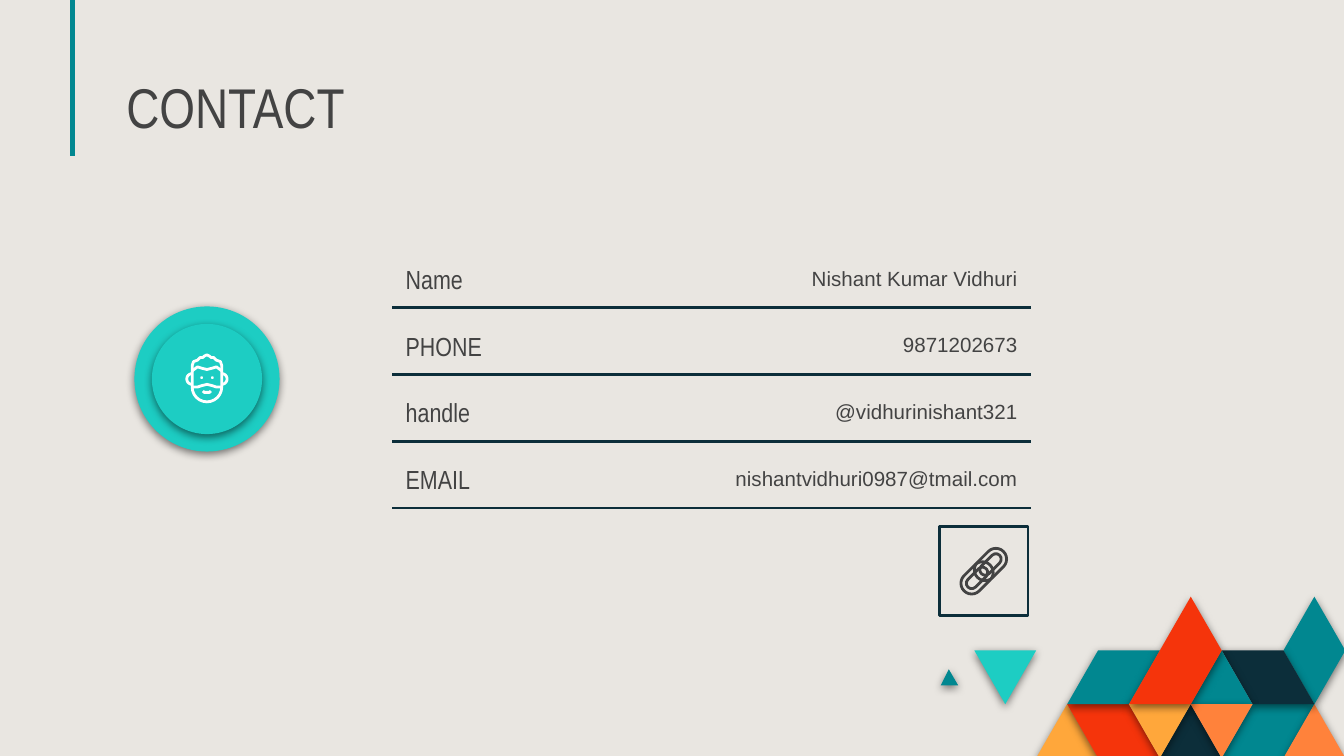
from collections.abc import Sequence
from dataclasses import dataclass
from math import cos, hypot, radians, sin
from typing import NamedTuple

from lxml.etree import SubElement
from pptx import Presentation
from pptx.dml.color import RGBColor
from pptx.enum.shapes import MSO_CONNECTOR, MSO_SHAPE
from pptx.enum.text import MSO_ANCHOR, MSO_AUTO_SIZE, PP_ALIGN
from pptx.oxml.ns import qn
from pptx.shapes.autoshape import Shape
from pptx.slide import Slide
from pptx.text.text import TextFrame
from pptx.util import Inches, Pt


@dataclass(frozen=True)
class Theme:
    paper: str = "E9E6E1"
    ink: str = "434343"
    navy: str = "0C2E3A"
    teal: str = "018790"
    aqua: str = "1DCDC3"
    red: str = "F5340B"
    amber: str = "FFA73B"
    orange: str = "FF823B"
    white: str = "FFFFFF"
    heading_font: str = "Arial Narrow"
    body_font: str = "Arial"
    title_size: float = 30
    label_size: float = 14
    value_size: float = 11
    accent_width: float = 2.25
    line_width: float = 1.5


THEME = Theme()
Point = tuple[float, float]


class ContactRow(NamedTuple):
    label: str
    value: str
    value_width: float = 2.56


class Tile(NamedTuple):
    """A mosaic piece; corners are (column, row) on the triangle lattice."""
    color: str
    corners: list[Point]


class Link(NamedTuple):
    upper: Point
    lower: Point


CONTACTS = [
    ContactRow("Name", "Nishant Kumar Vidhuri"),
    ContactRow("PHONE", "9871202673"),
    ContactRow("handle", "@vidhurinishant321"),
    ContactRow("EMAIL", "nishantvidhuri0987@tmail.com", 2.9),
]
TABLE_LEFT, TABLE_RIGHT, TABLE_TOP = 2.92, 7.67, 1.86
ROW_PITCH = (3.35 - TABLE_TOP) / 3

LATTICE_LEFT, LATTICE_TOP, HALF_SIDE, TILE_HEIGHT = 7.25, 4.44, 0.23, 0.4
TILES = [
    Tile(THEME.amber, [(2, 3), (3, 2), (4, 3)]),
    Tile(THEME.red, [(3, 2), (5, 2), (6, 3), (4, 3)]),
    Tile(THEME.teal, [(8, 3), (9, 2), (11, 2), (10, 3)]),
    Tile(THEME.orange, [(10, 3), (11, 2), (12, 3)]),
    Tile(THEME.navy, [(6, 3), (7, 2), (8, 3)]),
    Tile(THEME.teal, [(3, 2), (4, 1), (6, 1), (5, 2)]),
    Tile(THEME.aqua, [(0, 1), (2, 1), (1, 2)]),
    Tile(THEME.teal, [(10, 1), (11, 0), (12, 1), (11, 2)]),
    Tile(THEME.navy, [(8, 1), (10, 1), (11, 2), (9, 2)]),
    Tile(THEME.teal, [(7, 2), (8, 1), (9, 2)]),
    Tile(THEME.orange, [(7, 2), (9, 2), (8, 3)]),
    Tile(THEME.amber, [(5, 2), (7, 2), (6, 3)]),
    Tile(THEME.red, [(5, 2), (7, 0), (8, 1), (7, 2)]),
]
SMALL_TRIANGLE = [(7.0, 5.1), (7.06, 4.98), (7.13, 5.1)]

BADGE_X, BADGE_Y, BADGE_RADII = 1.54, 2.82, (0.54, 0.41)
LINKS = [Link((7.41, 4.16), (7.33, 4.24)), Link((7.31, 4.26), (7.23, 4.34))]
LINK_RADII = (0.08, 0.04)


def rgb(color: str) -> RGBColor:
    return RGBColor.from_string(color)


def add_shadow(shape: Shape) -> None:
    effects = shape._element.spPr.find(qn("a:effectLst"))
    shadow = SubElement(effects, qn("a:outerShdw"), blurRad=str(Pt(4.5)),
                        dist=str(Pt(1.5)), dir="5400000", algn="bl", rotWithShape="0")
    tint = SubElement(shadow, qn("a:srgbClr"), val="000000")
    SubElement(tint, qn("a:alpha"), val="50000")


def paint(shape: Shape, fill: str | None = None, line: str | None = None,
          shadow: bool = False) -> None:
    shape.shadow.inherit = False
    if fill:
        shape.fill.solid()
        shape.fill.fore_color.rgb = rgb(fill)
    else:
        shape.fill.background()
    if line:
        shape.line.color.rgb = rgb(line)
        shape.line.width = Pt(THEME.line_width)
    else:
        shape.line.fill.background()
    if shadow:
        add_shadow(shape)


def add_outline(slide: Slide, points: Sequence[Point], close: bool) -> Shape:
    start, *rest = [(Inches(x), Inches(y)) for x, y in points]
    builder = slide.shapes.build_freeform(*start)
    builder.add_line_segments(rest, close=close)
    return builder.convert_to_shape()


def add_circle(slide: Slide, x: float, y: float, radius: float) -> Shape:
    return slide.shapes.add_shape(MSO_SHAPE.OVAL, Inches(x - radius), Inches(y - radius),
                                  Inches(2 * radius), Inches(2 * radius))


def add_line(slide: Slide, start: Point, end: Point, color: str, width: float) -> None:
    connector = slide.shapes.add_connector(
        MSO_CONNECTOR.STRAIGHT, *(Inches(value) for value in (*start, *end)))
    connector.line.color.rgb = rgb(color)
    connector.line.width = Pt(width)
    SubElement(connector._element.spPr, qn("a:effectLst"))


def write(frame: TextFrame, text: str, font: str, size: float,
          anchor: MSO_ANCHOR, align: PP_ALIGN = PP_ALIGN.LEFT) -> None:
    frame.text = text
    frame.word_wrap = True
    frame.auto_size = MSO_AUTO_SIZE.NONE
    frame.vertical_anchor = anchor
    frame.margin_left = frame.margin_right = Inches(0.1)
    frame.margin_top = frame.margin_bottom = Inches(0.1)
    paragraph = frame.paragraphs[0]
    paragraph.alignment = align
    paragraph.font.name = font
    paragraph.font.size = Pt(size)
    paragraph.font.color.rgb = rgb(THEME.ink)


def add_title(slide: Slide) -> None:
    title = slide.shapes.title
    title.left, title.top = Inches(0.84), Inches(0.51)
    title.width, title.height = Inches(8.85), Inches(0.63)
    write(title.text_frame, "CONTACT", THEME.heading_font, THEME.title_size, MSO_ANCHOR.BOTTOM)


def add_contact(slide: Slide, row: ContactRow, top: float) -> None:
    add_line(slide, (TABLE_LEFT, top + 0.43), (TABLE_RIGHT, top + 0.43),
             THEME.navy, THEME.line_width)
    label = slide.shapes.add_textbox(Inches(TABLE_LEFT), Inches(top), Inches(2.15), Inches(0.4))
    write(label.text_frame, row.label, THEME.heading_font, THEME.label_size, MSO_ANCHOR.TOP)
    value = slide.shapes.add_textbox(Inches(TABLE_RIGHT - row.value_width), Inches(top),
                                     Inches(row.value_width), Inches(0.4))
    write(value.text_frame, row.value, THEME.body_font, THEME.value_size,
          MSO_ANCHOR.BOTTOM, PP_ALIGN.RIGHT)


def arc(x: float, y: float, radius: float, start: int, end: int) -> list[Point]:
    """Points along an arc, with angles in degrees clockwise from the right."""
    step = 15 if end > start else -15
    return [(x + radius * cos(radians(a)), y + radius * sin(radians(a)))
            for a in range(start, end + step, step)]


def mirrored(half: list[Point]) -> list[Point]:
    """Extend a left half, ending on the face's axis, with its reflection."""
    return half + [(2 * BADGE_X - x, y) for x, y in reversed(half[:-1])]


def add_face(slide: Slide) -> None:
    hair = mirrored([(1.43, 2.72), (1.44, 2.69), (1.47, 2.68), (1.49, 2.66),
                     (1.51, 2.66), (1.52, 2.65), (1.54, 2.64)])
    head = hair + arc(BADGE_X, 2.88, 0.11, 0, 180)
    fringe = mirrored([(1.43, 2.76), (1.47, 2.73), (1.5, 2.74), (1.54, 2.75)])
    moustache = mirrored([(1.43, 2.88), (1.47, 2.88), (1.5, 2.87), (1.54, 2.86)])
    mouth = mirrored([(1.51, 2.91), (1.52, 2.92), (1.54, 2.92)])
    left_ear = arc(1.43, BADGE_Y, 0.04, 90, 270)
    right_ear = arc(1.65, BADGE_Y, 0.04, 90, -90)
    paint(add_outline(slide, head, close=True), line=THEME.white)
    for stroke in (fringe, moustache, mouth, left_ear, right_ear):
        paint(add_outline(slide, stroke, close=False), line=THEME.white)
    for eye_x in (1.5, 1.58):
        paint(add_circle(slide, eye_x, 2.81, 0.01), fill=THEME.white)


def add_link(slide: Slide, link: Link, radius: float) -> None:
    (x1, y1), (x2, y2) = link
    length = hypot(x2 - x1, y2 - y1) + 2 * radius
    ring = slide.shapes.add_shape(
        MSO_SHAPE.ROUNDED_RECTANGLE, Inches((x1 + x2 - length) / 2),
        Inches((y1 + y2) / 2 - radius), Inches(length), Inches(2 * radius))
    ring.adjustments[0] = 0.5
    ring.rotation = -45
    paint(ring, line=THEME.ink)


def main() -> None:
    deck = Presentation()
    deck.slide_width = Inches(10)
    deck.slide_height = Inches(10 * 9 / 16)
    slide = deck.slides.add_slide(deck.slide_layouts[5])
    slide.background.fill.solid()
    slide.background.fill.fore_color.rgb = rgb(THEME.paper)

    add_line(slide, (0.54, 0), (0.54, 1.16), THEME.teal, THEME.accent_width)
    for tile in TILES:
        corners = [(LATTICE_LEFT + column * HALF_SIDE, LATTICE_TOP + row * TILE_HEIGHT)
                   for column, row in tile.corners]
        paint(add_outline(slide, corners, close=True), fill=tile.color, shadow=True)
    paint(add_outline(slide, SMALL_TRIANGLE, close=True), fill=THEME.teal, shadow=True)

    add_title(slide)
    for radius in BADGE_RADII:
        paint(add_circle(slide, BADGE_X, BADGE_Y, radius), fill=THEME.aqua, shadow=True)
    add_face(slide)
    for index, row in enumerate(CONTACTS):
        add_contact(slide, row, TABLE_TOP + index * ROW_PITCH)

    link_frame = slide.shapes.add_shape(MSO_SHAPE.RECTANGLE, Inches(6.99), Inches(3.92),
                                        Inches(0.66), Inches(0.66))
    paint(link_frame, line=THEME.navy)
    for link in LINKS:
        for radius in LINK_RADII:
            add_link(slide, link, radius)
    deck.save("out.pptx")


if __name__ == "__main__":
    main()
